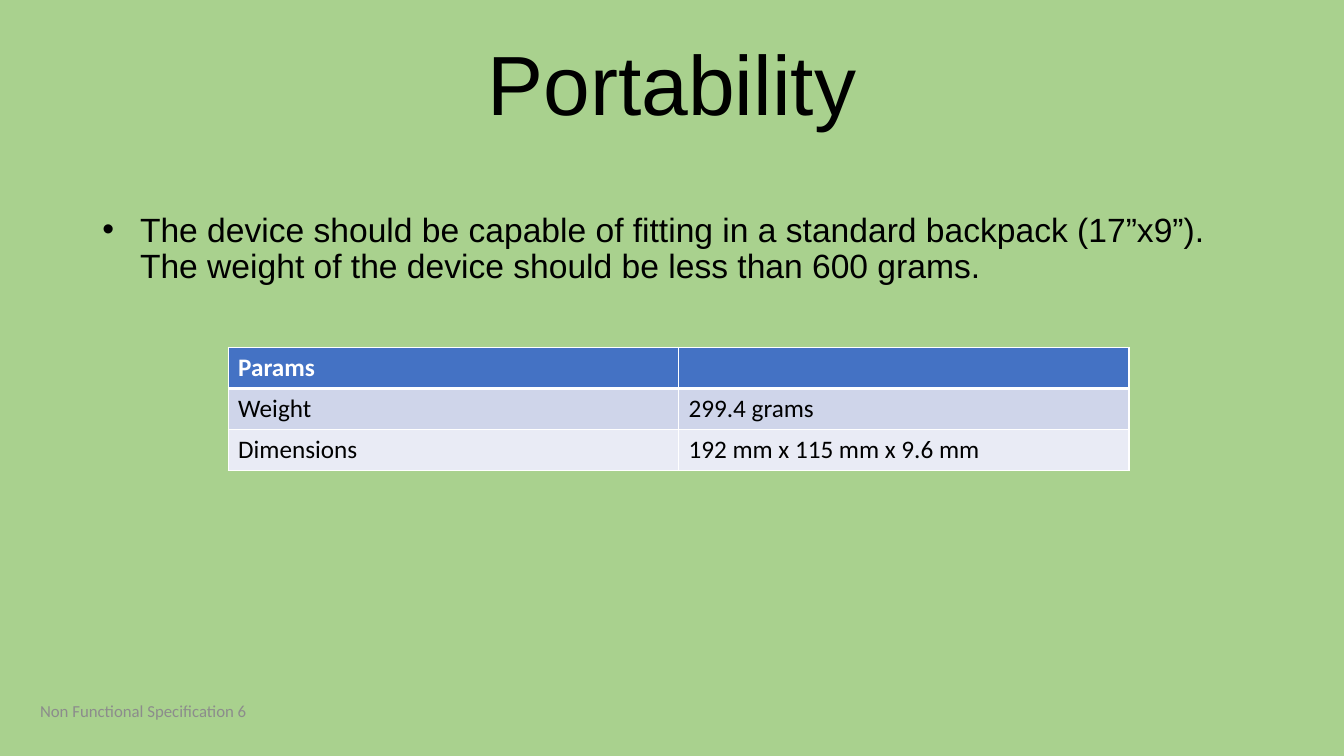
import lxml.etree
import pptx
import pptx.dml.color
import pptx.enum.text
import pptx.oxml
import pptx.oxml.ns
import pptx.util

Cm = pptx.util.Cm
Pt = pptx.util.Pt
ANCHOR = pptx.enum.text.MSO_ANCHOR
ALIGN = pptx.enum.text.PP_ALIGN
qn = pptx.oxml.ns.qn

PARAMETERS = [
    ("Params", ""),
    ("Weight", "299.4 grams"),
    ("Dimensions", "192 mm x 115 mm x 9.6 mm"),
]
ROW_FILLS = ["4472C4", "CFD5EA", "E9EBF5"]


def color(value):
    return pptx.dml.color.RGBColor.from_string(value)


def set_font(paragraph, name, size, value, bold=False):
    paragraph.font.name = name
    paragraph.font.size = Pt(size)
    paragraph.font.bold = bold
    paragraph.font.color.rgb = color(value)


def place(shape, left, top, width, height):
    shape.left, shape.top = Cm(left), Cm(top)
    shape.width, shape.height = Cm(width), Cm(height)


def add_heading(slide, left, top, width, height):
    heading = slide.shapes.title
    place(heading, left, top, width, height)
    heading.text_frame.text = "Portability"
    heading.text_frame.vertical_anchor = ANCHOR.BOTTOM
    paragraph = heading.text_frame.paragraphs[0]
    paragraph.alignment = ALIGN.CENTER
    paragraph.line_spacing = 0.9
    set_font(paragraph, "Arial", 60, "000000")


def add_text(slide, text, left, top, width, height):
    box = slide.shapes.add_textbox(Cm(left), Cm(top), Cm(width), Cm(height))
    box.text_frame.word_wrap = True
    box.text_frame.text = text
    return box.text_frame


def add_requirement(slide, left, top, width, height):
    requirement = add_text(
        slide,
        "The device should be capable of fitting in a standard backpack (17”x9”). "
        "The weight of the device should be less than 600 grams.",
        left, top, width, height,
    )
    paragraph = requirement.paragraphs[0]
    paragraph.line_spacing = 0.9
    paragraph.space_before = Pt(10)
    set_font(paragraph, "Arial", 24, "000000")
    properties = paragraph._p.get_or_add_pPr()
    indent = Cm(0.95)
    properties.set("marL", str(indent))
    properties.set("indent", str(-indent))
    bullet_font = pptx.oxml.parse_xml(
        f'<a:buFont {pptx.oxml.ns.nsdecls("a")} typeface="Arial"/>'
    )
    bullet = pptx.oxml.parse_xml(f'<a:buChar {pptx.oxml.ns.nsdecls("a")} char="•"/>')
    defaults = properties.find(qn("a:defRPr"))
    defaults.addprevious(bullet_font)
    defaults.addprevious(bullet)


def set_borders(cell, top, bottom):
    properties = cell._tc.get_or_add_tcPr()
    for side, width in (("L", 1), ("R", 1), ("T", top), ("B", bottom)):
        border = lxml.etree.SubElement(properties, qn(f"a:ln{side}"), w=str(Pt(width)))
        fill = lxml.etree.SubElement(border, qn("a:solidFill"))
        lxml.etree.SubElement(fill, qn("a:srgbClr"), val="FFFFFF")


def add_parameters(slide, left, top, width, height):
    frame = slide.shapes.add_table(
        len(PARAMETERS), 2, Cm(left), Cm(top), Cm(width), Cm(height)
    )
    for row, (values, fill) in enumerate(zip(PARAMETERS, ROW_FILLS)):
        header = row == 0
        for column, value in enumerate(values):
            cell = frame.table.cell(row, column)
            cell.text = value
            set_font(cell.text_frame.paragraphs[0], "Calibri", 18,
                     "FFFFFF" if header else "000000", header)
            set_borders(cell, 3 if row == 1 else 1, 3 if header else 1)
            cell.fill.solid()
            cell.fill.fore_color.rgb = color(fill)


def add_footer(slide, left, top, width, height):
    footer = add_text(slide, "Non Functional Specification 6", left, top, width, height)
    footer.vertical_anchor = ANCHOR.MIDDLE
    set_font(footer.paragraphs[0], "Calibri", 12, "8C8C8C")


def main():
    deck = pptx.Presentation()
    deck.slide_width, deck.slide_height = Cm(33.87), Cm(19.05)
    slide = deck.slides.add_slide(deck.slide_layouts[5])
    slide.background.fill.solid()
    slide.background.fill.fore_color.rgb = color("A9D18E")
    add_heading(slide, 0, 0.76, 33.87, 2.74)
    add_requirement(slide, 2.33, 5.25, 29.2, 4.17)
    add_parameters(slide, 5.75, 8.76, 22.7, 3.09)
    add_footer(slide, 0.76, 17.4, 11.43, 1.02)
    deck.save("out.pptx")


if __name__ == "__main__":
    main()
